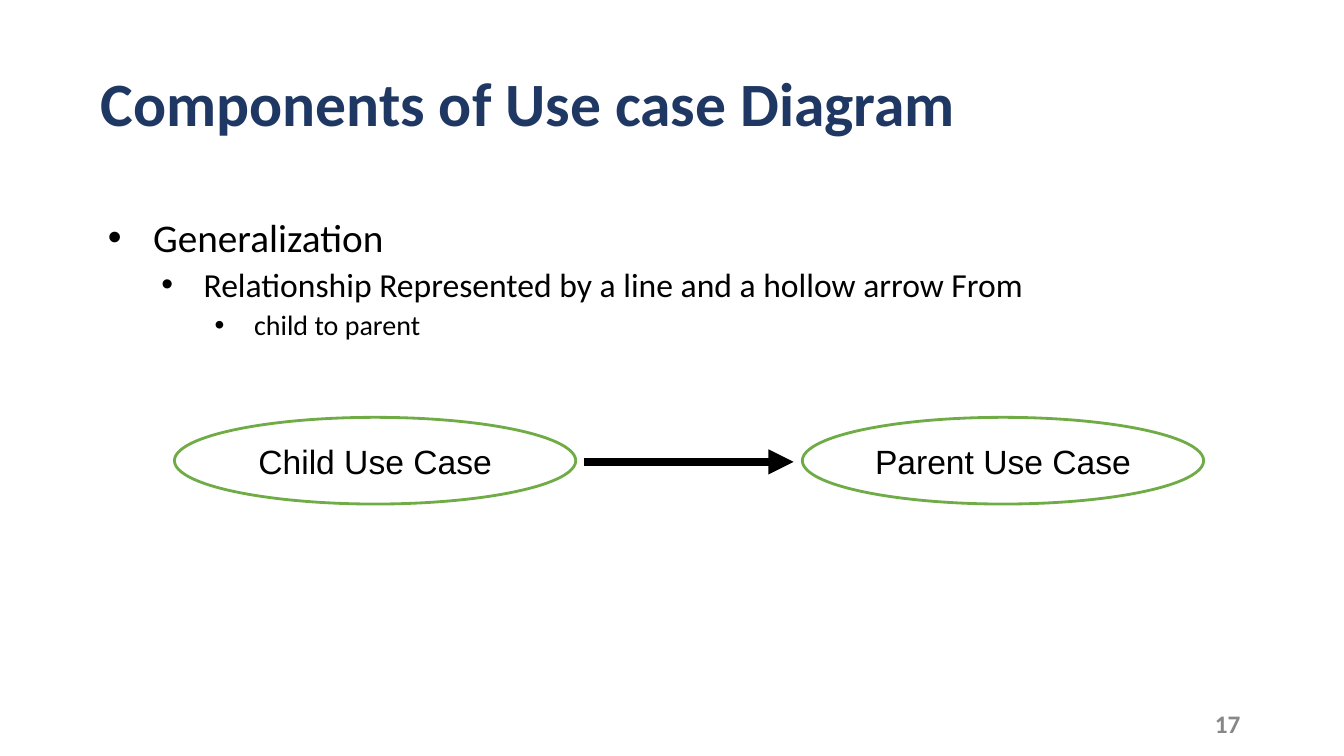
"""Build the generalization slide of a use case diagram lecture."""
from dataclasses import dataclass

from lxml.etree import SubElement
from pptx import Presentation
from pptx.dml.color import RGBColor
from pptx.enum.shapes import MSO_CONNECTOR as CONN, MSO_SHAPE as SHAPE
from pptx.enum.text import MSO_ANCHOR as ANCHOR, MSO_AUTO_SIZE as FIT, PP_ALIGN as ALIGN
from pptx.oxml.ns import qn
from pptx.util import Inches, Pt

WIDTH, HEIGHT = Inches(13.33), Inches(7.5)


@dataclass(frozen=True)
class Theme:
    navy: str = "1F3863"
    black: str = "000000"
    green: str = "6FAC46"
    grey: str = "878787"
    text_font: str = "Calibri"
    label_font: str = "Arial"
    title: int = 44
    levels: tuple = (28, 24, 20)
    label: int = 24
    number: int = 18
    outline: int = 2
    arrow: int = 6


THEME = Theme()


def across(percent):
    return round(WIDTH * percent / 100)


def down(percent):
    return round(HEIGHT * percent / 100)


def box(x, y, w, h):
    return across(x), down(y), across(w), down(h)


def place(sp, x, y, w, h):
    sp.left, sp.top, sp.width, sp.height = box(x, y, w, h)


def prepare(tf, anchor=ANCHOR.TOP, top=0):
    tf.word_wrap, tf.auto_size, tf.vertical_anchor = True, FIT.NONE, anchor
    tf.margin_left = tf.margin_right = tf.margin_bottom = 0
    tf.margin_top = Inches(top)


def add_run(p, text, size, color, font=THEME.text_font, bold=False):
    r = p.add_run()
    r.text = text
    r.font.size, r.font.name, r.font.bold = Pt(size), font, bold
    r.font.color.rgb = RGBColor.from_string(color)


def add_bullet(p, indent, hanging):
    pPr = p._p.get_or_add_pPr()
    pPr.set("marL", str(Inches(indent)))
    pPr.set("indent", str(-Inches(hanging)))
    color = SubElement(pPr, qn("a:buClr"))
    SubElement(color, qn("a:srgbClr"), val=THEME.black)
    SubElement(pPr, qn("a:buFont"), typeface=THEME.label_font)
    SubElement(pPr, qn("a:buChar"), char="•")


def fill_title(sp, text):
    place(sp, 7.5, 8.4, 74.9, 11.1)
    prepare(sp.text_frame, top=0.01)
    p = sp.text_frame.paragraphs[0]
    p.alignment = ALIGN.LEFT
    add_run(p, text, THEME.title, THEME.navy, bold=True)


def fill_list(sp, items):
    place(sp, 7.95, 27.5, 68.6, 17.9)
    tf = sp.text_frame
    prepare(tf, top=0.05)
    for level, (text, space) in enumerate(items):
        p = tf.add_paragraph() if level else tf.paragraphs[0]
        p.level, p.space_before = level, Pt(space)
        add_bullet(p, 0.46 + 0.5 * level, 0.45 - 0.03 * level)
        add_run(p, text, THEME.levels[level], THEME.black)


def add_use_case(slide, text, x):
    sp = slide.shapes.add_shape(SHAPE.OVAL, *box(x, 55.2, 29.86, 11.47))
    sp.shadow.inherit = False
    sp.fill.background()
    sp.line.color.rgb = RGBColor.from_string(THEME.green)
    sp.line.width = Pt(THEME.outline)
    prepare(sp.text_frame, ANCHOR.MIDDLE)
    p = sp.text_frame.paragraphs[0]
    p.alignment = ALIGN.CENTER
    add_run(p, text, THEME.label, THEME.black, THEME.label_font)


def add_arrow(slide, start, end, y):
    line = slide.shapes.add_connector(
        CONN.STRAIGHT, across(start), down(y), across(end), down(y))
    line.line.color.rgb = RGBColor.from_string(THEME.black)
    line.line.width = Pt(THEME.arrow)
    SubElement(line.line._get_or_add_ln(), qn("a:tailEnd"), type="triangle")
    SubElement(line._element.spPr, qn("a:effectLst"))


def add_number(slide, text):
    sp = slide.shapes.add_textbox(*box(90.4, 93.7, 2.4, 3.7))
    prepare(sp.text_frame)
    p = sp.text_frame.paragraphs[0]
    add_run(p, text, THEME.number, THEME.grey, bold=True)


def main():
    prs = Presentation()
    prs.slide_width, prs.slide_height = WIDTH, HEIGHT
    slide = prs.slides.add_slide(prs.slide_layouts[1])
    fill_title(slide.shapes.title, "Components of Use case Diagram")
    fill_list(slide.placeholders[1], [
        ("Generalization", 0),
        ("Relationship Represented by a line and a hollow arrow From", 2.4),
        ("child to parent", 2.9),
    ])
    add_use_case(slide, "Child Use Case", 12.98)
    add_use_case(slide, "Parent Use Case", 59.7)
    add_arrow(slide, 43.45, 59.05, 61.1)
    add_number(slide, "17")
    prs.save("out.pptx")


if __name__ == "__main__":
    main()
